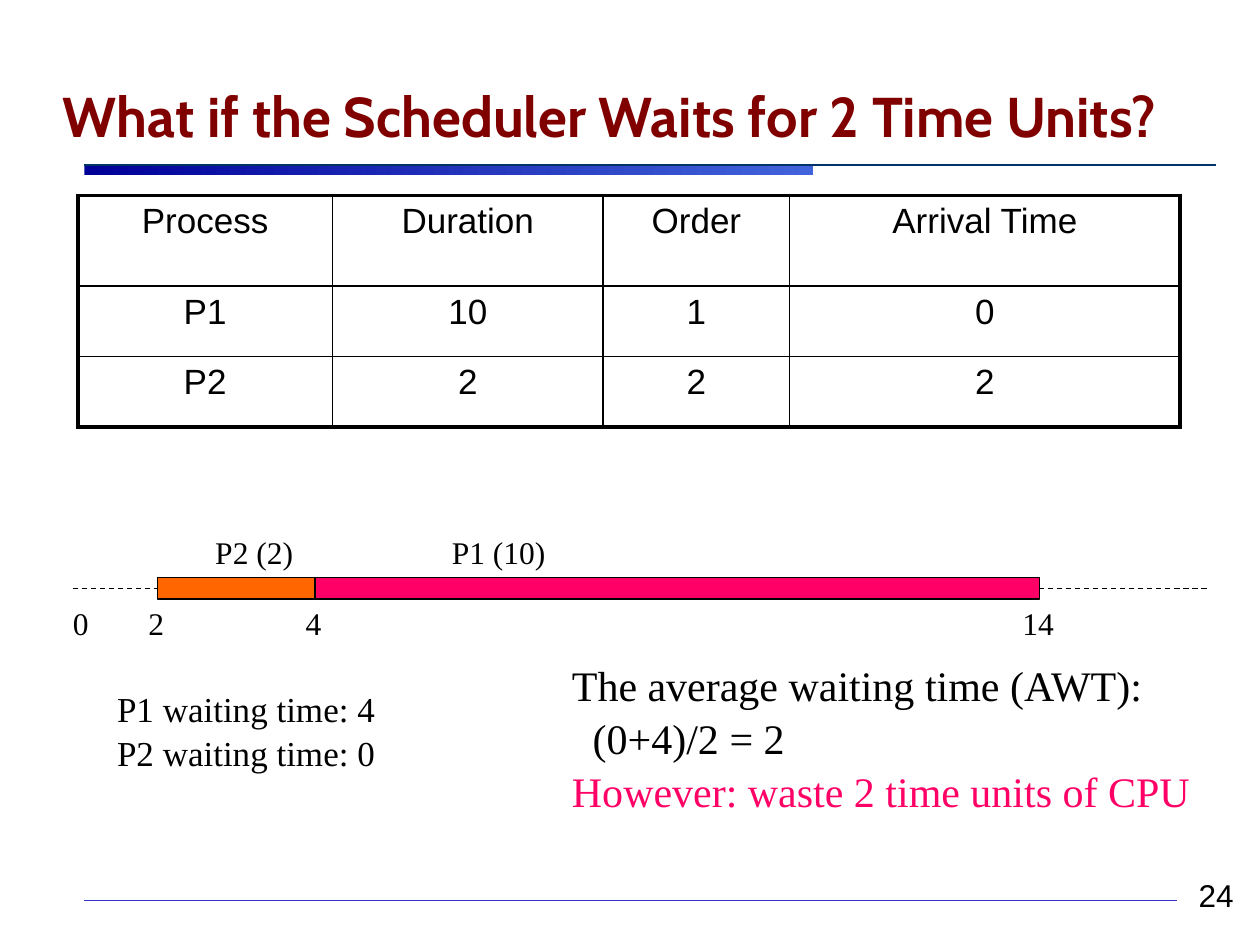
import pptx
import pptx.util
import pptx.dml.color
import pptx.enum.dml
import pptx.enum.shapes
import pptx.enum.text
import pptx.oxml.ns
import lxml.etree
from dataclasses import dataclass

Cm = pptx.util.Cm
Pt = pptx.util.Pt
Align = pptx.enum.text.PP_ALIGN
Anchor = pptx.enum.text.MSO_ANCHOR
qn = pptx.oxml.ns.qn


@dataclass(frozen=True)
class Theme:
    ink: str = "000000"
    title: str = "800000"
    rule: str = "003366"
    dark: str = "000099"
    light: str = "4163DB"
    foot: str = "3333CC"
    pink: str = "FF0066"
    orange: str = "FF6600"
    head: str = "Cabin"
    sans: str = "Arial"
    serif: str = "Times New Roman"
    big: int = 32
    lead: int = 24
    body: int = 20
    small: int = 18
    thin: float = 0.75
    inner: float = 1
    outer: float = 2.25


T = Theme()


def rgb(tint):
    return pptx.dml.color.RGBColor.from_string(tint)


def style(para, face, size, tint=T.ink, bold=False):
    for run in para.runs:
        font = run.font
        font.name, font.size, font.bold = face, Pt(size), bold
        font.color.rgb = rgb(tint)


def write(slide, box, lines, face, size, tint=T.ink, bold=False,
          align=Align.LEFT, anchor=Anchor.TOP, wrap=False):
    frame = slide.shapes.add_textbox(*map(Cm, box)).text_frame
    frame.word_wrap = wrap
    frame.vertical_anchor = anchor
    frame.text = "\n".join(lines)
    for para in frame.paragraphs:
        para.alignment = align
        style(para, face, size, tint, bold)
    return frame


def draw_line(slide, left, right, y, tint, width, dash=None):
    line = slide.shapes.add_connector(
        pptx.enum.shapes.MSO_CONNECTOR.STRAIGHT,
        Cm(left), Cm(y), Cm(right), Cm(y))
    line.line.color.rgb = rgb(tint)
    line.line.width = Pt(width)
    line.line.dash_style = dash
    props = line._element.spPr
    lxml.etree.SubElement(props, qn("a:effectLst"))


def draw_bar(slide, box, tint):
    bar = slide.shapes.add_shape(
        pptx.enum.shapes.MSO_SHAPE.RECTANGLE, *map(Cm, box))
    bar.shadow.inherit = False
    bar.fill.solid()
    bar.fill.fore_color.rgb = rgb(tint)
    bar.line.color.rgb = rgb(T.ink)
    bar.line.width = Pt(T.thin)
    return bar


def add_head(slide, x, y, w, h):
    write(slide, (x, y, w, h), ["What if the Scheduler Waits for 2 Time Units?"],
          T.head, T.big, T.title, True, anchor=Anchor.BOTTOM, wrap=True)
    left, top = x + 0.68, y + h + 0.21
    band = draw_bar(slide, (left, top, 14.7, 0.2), T.dark)
    band.line.fill.background()
    band.fill.gradient()
    band.fill.gradient_angle = 0
    for stop, tint in zip(band.fill.gradient_stops, (T.dark, T.light)):
        stop.color.rgb = rgb(tint)
    draw_line(slide, left, left + 22.81, top, T.rule, T.thin)


def add_edge(cell, side, width):
    props = cell._tc.get_or_add_tcPr()
    edge = lxml.etree.SubElement(props, qn("a:" + side), w=str(int(Pt(width))))
    fill = lxml.etree.SubElement(edge, qn("a:solidFill"))
    lxml.etree.SubElement(fill, qn("a:srgbClr"), val=T.ink)


def add_grid(slide, x, y, wides, highs, rows):
    last, end = len(highs) - 1, len(wides) - 1
    box = map(Cm, (x, y, sum(wides), sum(highs)))
    grid = slide.shapes.add_table(len(highs), len(wides), *box).table
    grid.first_row = grid.horz_banding = False
    for col, wide in zip(grid.columns, wides):
        col.width = Cm(wide)
    for row, high in zip(grid.rows, highs):
        row.height = Cm(high)
    for r, words in enumerate(rows):
        for c, word in enumerate(words):
            cell = grid.cell(r, c)
            cell.text_frame.text = word
            para = cell.text_frame.paragraphs[0]
            para.alignment = Align.CENTER
            style(para, T.sans, T.body)
            rims = {"lnL": c == 0, "lnR": c == end, "lnT": r == 0, "lnB": r == last}
            for side, rim in rims.items():
                add_edge(cell, side, T.outer if rim else T.inner)
            cell.fill.background()


def add_chart(slide, x, y, w):
    mid, tall = y + 1.24, 0.43
    draw_line(slide, x, x + w, mid, T.ink, T.thin,
              pptx.enum.dml.MSO_LINE.DASH)
    bars = [("P2 (2)", 1.71, 3.17, T.orange, 2.62),
            ("P1 (10)", 4.88, 14.61, T.pink, 7.39)]
    for name, left, wide, tint, tag in bars:
        draw_bar(slide, (x + left, mid - tall / 2, wide, tall), tint)
        write(slide, (x + tag, y, 2.4, 1.02), [name], T.serif, T.small)
    wide = 1.15
    for tick, spot in (("0", 0.16), ("2", 1.68), ("4", 4.85), ("14", 19.46)):
        write(slide, (x + spot - wide / 2, y + 1.44, wide, 1.02), [tick],
              T.serif, T.small, align=Align.CENTER)


def add_notes(slide, x, y):
    waits = write(slide, (x, y + 0.56, 6.07, 1.96),
                  ["P1 waiting time: 4", "P2 waiting time: 0"], T.serif, T.body)
    mean = write(slide, (x + 9.17, y, 13.11, 3.84),
                 ["The average waiting time (AWT):", "(0+4)/2 = 2",
                  "However: waste 2 time units of CPU"], T.serif, T.lead)
    for para in waits.paragraphs + mean.paragraphs:
        para.line_spacing = 1.05
    mean.paragraphs[1]._p.get_or_add_pPr().set("marL", str(int(Cm(0.42))))
    style(mean.paragraphs[2], T.serif, T.lead, T.pink)


def add_foot(slide, x, y, w):
    draw_line(slide, x, x + w, y, T.foot, 0.25)
    write(slide, (x + w - 2.41, y - 0.61, 3.81, 1.02), ["24"], T.sans, T.small,
          align=Align.RIGHT, anchor=Anchor.BOTTOM, wrap=True)


def main():
    deck = pptx.Presentation()
    deck.slide_width, deck.slide_height = Cm(25.4), Cm(19.05)
    slide = deck.slides.add_slide(deck.slide_layouts[6])
    add_head(slide, 1.02, 0.84, 22.78, 2.28)
    add_grid(slide, 1.57, 3.94, (5.13, 5.46, 3.76, 7.87), (1.83, 1.42, 1.42),
             [("Process", "Duration", "Order", "Arrival Time"),
              ("P1", "10", "1", "0"),
              ("P2", "2", "2", "2")])
    add_chart(slide, 1.47, 10.62, 22.86)
    add_notes(slide, 2.11, 13.13)
    add_foot(slide, 1.7, 18.14, 22.02)
    deck.save("out.pptx")


if __name__ == "__main__":
    main()
